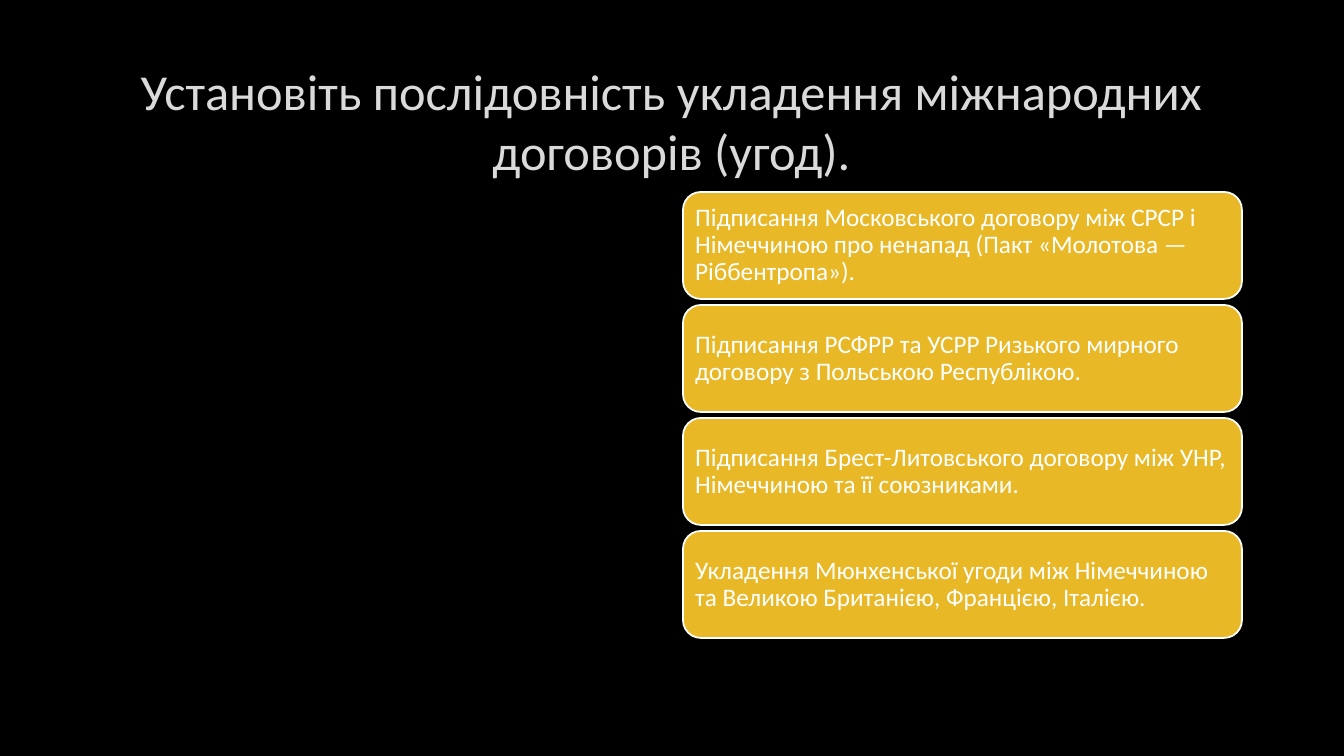
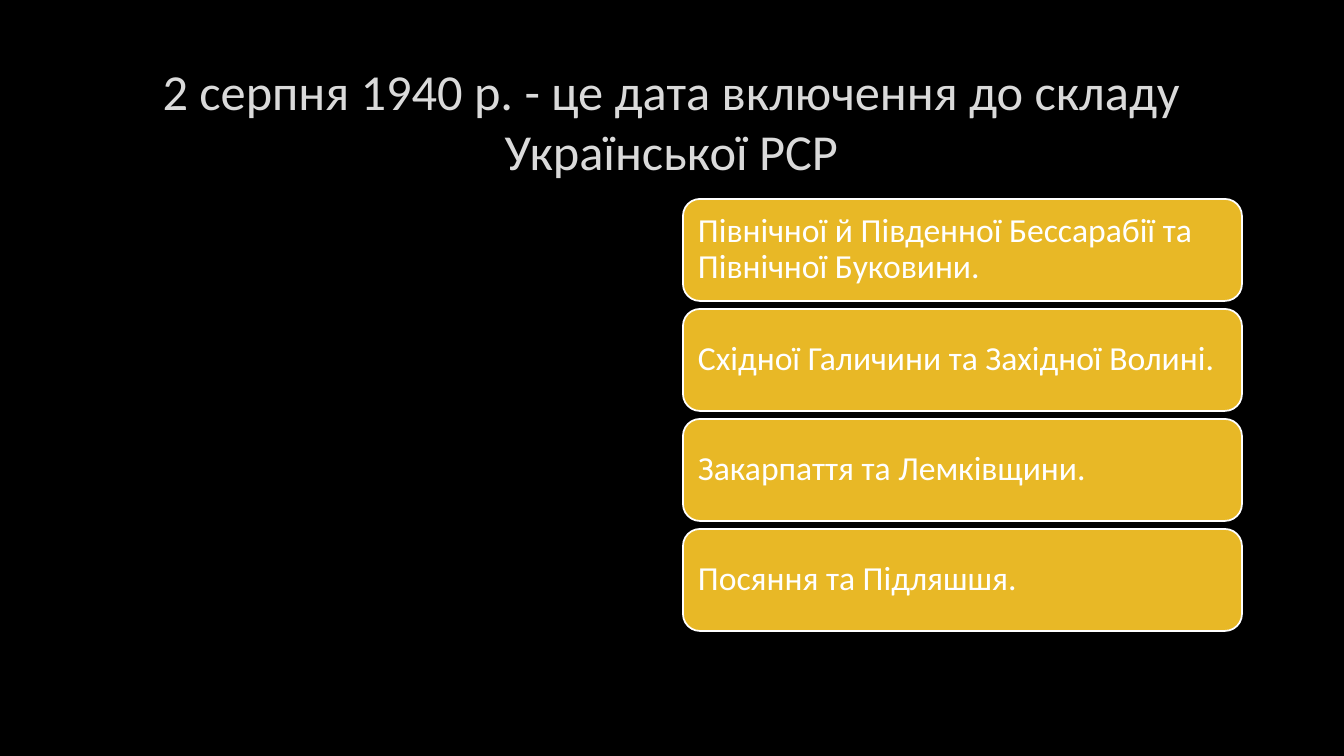
from lxml import etree
from pptx import Presentation
from pptx.dml.color import RGBColor
from pptx.enum.shapes import MSO_SHAPE
from pptx.enum.text import MSO_ANCHOR, PP_ALIGN
from pptx.oxml import parse_xml
from pptx.oxml.ns import nsdecls
from pptx.util import Pt

SLIDE_WIDTH, SLIDE_HEIGHT = 1344, 756
EMU_PER_PX = 12192000 / SLIDE_WIDTH

QUESTIONS = [
    {
        "title": "Установіть послідовність укладення міжнародних договорів (угод).",
        "answers": [
            "Підписання Московського договору між СРСР і Німеччиною про ненапад "
            "(Пакт «Молотова — Ріббентропа»).",
            "Підписання РСФРР та УСРР Ризького мирного договору з Польською Республікою.",
            "Підписання Брест-Литовського договору між УНР, Німеччиною та її союзниками.",
            "Укладення Мюнхенської угоди між Німеччиною та Великою Британією, "
            "Францією, Італією.",
        ],
        "style": {"height": 107, "gap": 6, "size": 18, "inset": 7},
    },
    {
        "title": "2 серпня 1940 р. - це дата включення до складу Української РСР",
        "answers": [
            "Північної й Південної Бессарабії та Північної Буковини.",
            "Східної Галичини та Західної Волині.",
            "Закарпаття та Лемківщини.",
            "Посяння та Підляшшя.",
        ],
        "style": {"height": 102, "gap": 8, "size": 24, "inset": 10},
    },
]


def px(length):
    return round(length * EMU_PER_PX)


def color(value):
    return RGBColor.from_string(value)


def write_text(shape, text, *, size, font, fill, align=PP_ALIGN.LEFT,
               inset_x=10, inset_y=5, line_spacing=1.0):
    """Fill a shape with one vertically centred paragraph and return its run."""
    frame = shape.text_frame
    frame.word_wrap = True
    frame.vertical_anchor = MSO_ANCHOR.MIDDLE
    frame.margin_left = frame.margin_right = px(inset_x)
    frame.margin_top = frame.margin_bottom = px(inset_y)
    paragraph = frame.paragraphs[0]
    paragraph.alignment = align
    paragraph.line_spacing = line_spacing
    run = paragraph.add_run()
    run.text = text
    run.font.size = Pt(size)
    run.font.name = font
    run.font.color.rgb = color(fill)
    return run


class QuizDeck:
    FONT = "Calibri"
    BACKGROUND = "000000"
    TITLE = "DADADA"
    TITLE_OUTLINE = "404040"
    CARD = "E8B826"
    CARD_TEXT = "FFFFFF"
    TITLE_BOX = (101, 67, 1141, 107)
    CARD_LEFT, CARD_WIDTH = 683, 559
    STACK_MIDDLE = 415

    def __init__(self):
        self.presentation = Presentation()
        self.presentation.slide_width = px(SLIDE_WIDTH)
        self.presentation.slide_height = px(SLIDE_HEIGHT)
        self.slide = None

    def add_slide(self):
        self.slide = self.presentation.slides.add_slide(self.presentation.slide_layouts[6])
        background = self.slide.background.fill
        background.solid()
        background.fore_color.rgb = color(self.BACKGROUND)

    def add_title(self, text):
        box = self.slide.shapes.add_textbox(*map(px, self.TITLE_BOX))
        run = write_text(box, text, size=36, font=self.FONT, fill=self.TITLE,
                         align=PP_ALIGN.CENTER)
        # Faint outline around the letters
        outline = parse_xml(
            f'<a:ln {nsdecls("a")} w="{Pt(0.75)}"><a:solidFill>'
            f'<a:srgbClr val="{self.TITLE_OUTLINE}"><a:alpha val="10000"/></a:srgbClr>'
            '</a:solidFill><a:prstDash val="solid"/></a:ln>')
        run.font.fill  # the outline goes before the fill
        run._r.get_or_add_rPr().insert(0, outline)

    def add_card(self, text, top, height, size, inset):
        card = self.slide.shapes.add_shape(
            MSO_SHAPE.ROUNDED_RECTANGLE,
            *map(px, (self.CARD_LEFT, top, self.CARD_WIDTH, height)))
        card.shadow.inherit = False
        card.fill.solid()
        card.fill.fore_color.rgb = color(self.CARD)
        card.line.color.rgb = color(self.CARD_TEXT)
        card.line.width = Pt(1.25)
        write_text(card, text, size=size, font=self.FONT, fill=self.CARD_TEXT,
                   inset_x=inset, inset_y=inset, line_spacing=0.9)

    def add_card_stack(self, texts, height, gap, size, inset):
        # Equal cards, centred on one height of the slide
        pitch = height + gap
        top = self.STACK_MIDDLE - (len(texts) * pitch - gap) // 2
        for index, text in enumerate(texts):
            self.add_card(text, top + index * pitch, height, size, inset)


def main():
    deck = QuizDeck()
    for question in QUESTIONS:
        deck.add_slide()
        deck.add_title(question["title"])
        deck.add_card_stack(question["answers"], **question["style"])
    deck.presentation.save("out.pptx")


if __name__ == "__main__":
    main()
